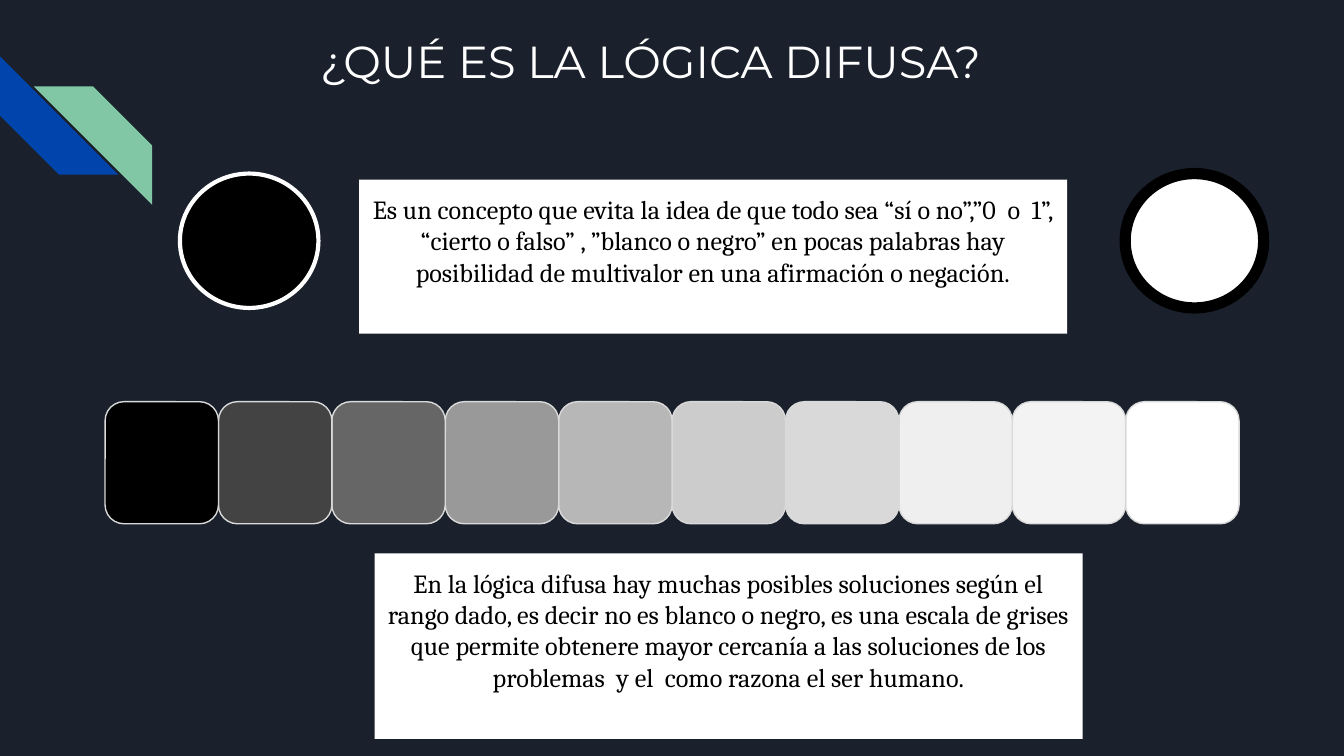
from dataclasses import dataclass

from pptx import Presentation
from pptx.dml.color import RGBColor
from pptx.enum.shapes import MSO_SHAPE
from pptx.enum.text import MSO_ANCHOR, PP_ALIGN
from pptx.util import Pt

STRIPE = MSO_SHAPE.DIAGONAL_STRIPE
OVAL = MSO_SHAPE.OVAL
RECT = MSO_SHAPE.RECTANGLE
ROUND = MSO_SHAPE.ROUNDED_RECTANGLE
TOP = MSO_ANCHOR.TOP
CENTER = PP_ALIGN.CENTER


@dataclass(frozen=True)
class Theme:
    back: str = "1B212C"
    blue: str = "0145AC"
    green: str = "82C7A5"
    white: str = "FFFFFF"
    black: str = "000000"
    edge: str = "D9D9D9"
    grays: tuple = ("000000", "434343", "666666", "999999", "B7B7B7",
                    "CCCCCC", "D9D9D9", "EFEFEF", "F3F3F3", "FFFFFF")
    head: str = "Montserrat"
    body: str = "Cambria"
    big: float = 24
    small: float = 14


@dataclass(frozen=True)
class Box:
    left: float
    top: float
    width: float
    height: float


@dataclass(frozen=True)
class Form:
    kind: int
    box: Box
    fill: str
    line: str = ""
    weight: float = 0
    turn: float = 0
    adjust: float | None = None


@dataclass(frozen=True)
class Panel:
    box: Box
    text: str


LOOK = Theme()
SIDE = 63.4
TILE = Box(56.3, 215.2, 60.75, 65.4)

STRIPES = (
    Form(STRIPE, Box(0, 30.2, SIDE, SIDE), LOOK.blue, turn=270, adjust=0.5),
    Form(STRIPE, Box(18.1, 46.3, SIDE, SIDE), LOOK.green, turn=90, adjust=0.5),
)
DISCS = (
    Form(OVAL, Box(602.8, 93, 74.2, 72), LOOK.white, LOOK.black, 6),
    Form(OVAL, Box(96.4, 93, 74.2, 72), LOOK.black, LOOK.white, 2.25),
)
PANELS = (
    Panel(Box(192.4, 96.3, 379.4, 82.4),
          "Es un concepto que evita la idea de que todo sea “sí o no”,”0  o  1”, "
          "“cierto o falso” , ”blanco o negro” en pocas palabras hay "
          "posibilidad de multivalor en una afirmación o negación."),
    Panel(Box(200.7, 296.5, 379.4, 99.4),
          "En la lógica difusa hay muchas posibles soluciones según el rango "
          "dado, es decir no es blanco o negro, es una escala de grises que "
          "permite obtenere mayor cercanía a las soluciones de los problemas  "
          "y el  como razona el ser humano."),
)


def paint(fill, color: str) -> None:
    fill.solid()
    fill.fore_color.rgb = RGBColor.from_string(color)


def place(box: Box) -> tuple:
    return Pt(box.left), Pt(box.top), Pt(box.width), Pt(box.height)


def draw(slide, form: Form):
    shape = slide.shapes.add_shape(form.kind, *place(form.box))
    shape.shadow.inherit = False
    shape.rotation = form.turn
    if form.adjust is not None:
        shape.adjustments[0] = form.adjust
    paint(shape.fill, form.fill)
    if form.line:
        paint(shape.line.fill, form.line)
        shape.line.width = Pt(form.weight)
    else:
        shape.line.fill.background()
    return shape


def write(shape, text: str, *, font: str, size: float, color: str) -> None:
    frame = shape.text_frame
    frame.word_wrap = True
    frame.vertical_anchor = TOP
    frame.margin_left = frame.margin_right = Pt(7.2)
    frame.margin_top = frame.margin_bottom = Pt(7.2)
    para = frame.paragraphs[0]
    para.alignment = CENTER
    run = para.add_run()
    run.text = text
    run.font.name = font
    run.font.size = Pt(size)
    run.font.color.rgb = RGBColor.from_string(color)


def scale(slide, first: Box) -> None:
    for step, gray in reversed(list(enumerate(LOOK.grays))):
        left = first.left + step * first.width
        box = Box(left, first.top, first.width, first.height)
        draw(slide, Form(ROUND, box, gray, LOOK.edge, 0.75, adjust=0.167))


def main() -> None:
    deck = Presentation()
    deck.slide_width, deck.slide_height = Pt(720), Pt(405)
    slide = deck.slides.add_slide(deck.slide_layouts[6])
    paint(slide.background.fill, LOOK.back)
    for form in STRIPES:
        draw(slide, form)
    title = slide.shapes.add_textbox(*place(Box(71.3, 10.8, 554.4, 72)))
    write(title, "¿QUÉ ES LA LÓGICA DIFUSA?",
          font=LOOK.head, size=LOOK.big, color=LOOK.white)
    for form in DISCS:
        draw(slide, form)
    scale(slide, TILE)
    for panel in PANELS:
        shape = draw(slide, Form(RECT, panel.box, LOOK.white))
        write(shape, panel.text,
              font=LOOK.body, size=LOOK.small, color=LOOK.black)
    deck.save("out.pptx")


if __name__ == "__main__":
    main()
